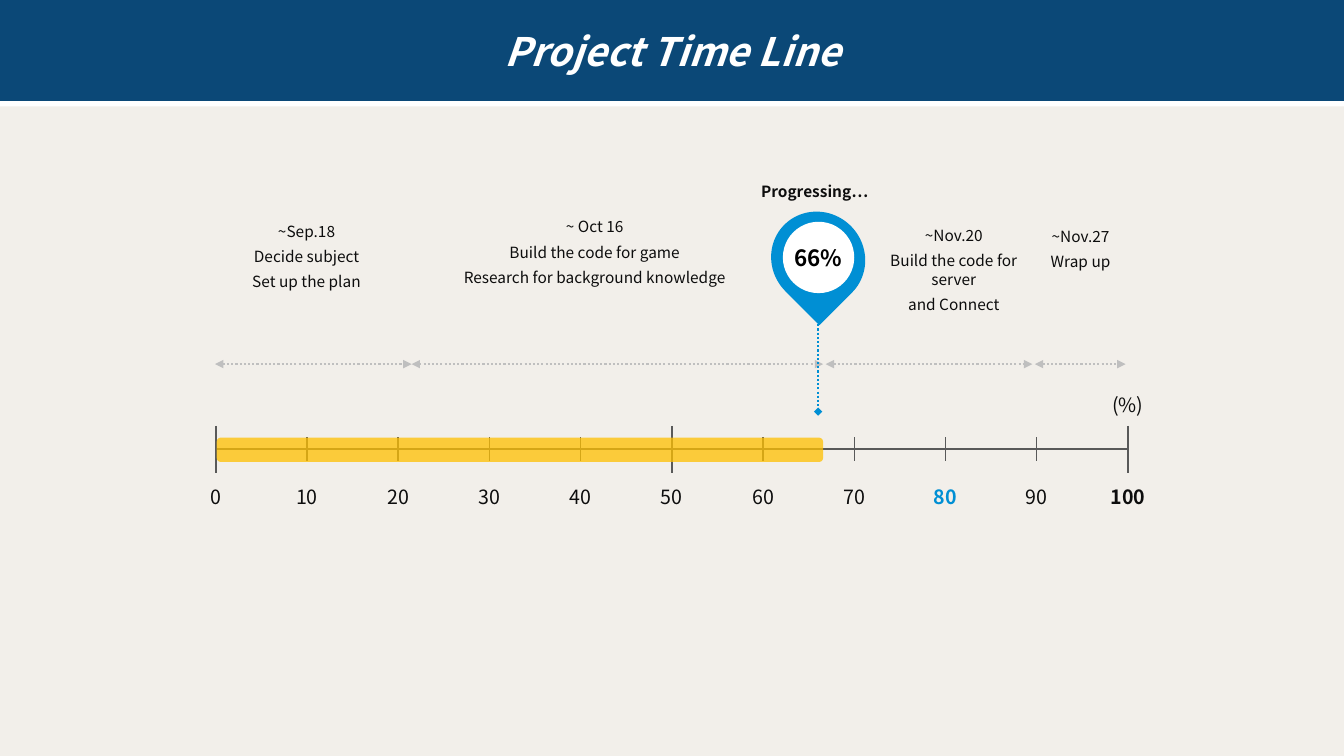
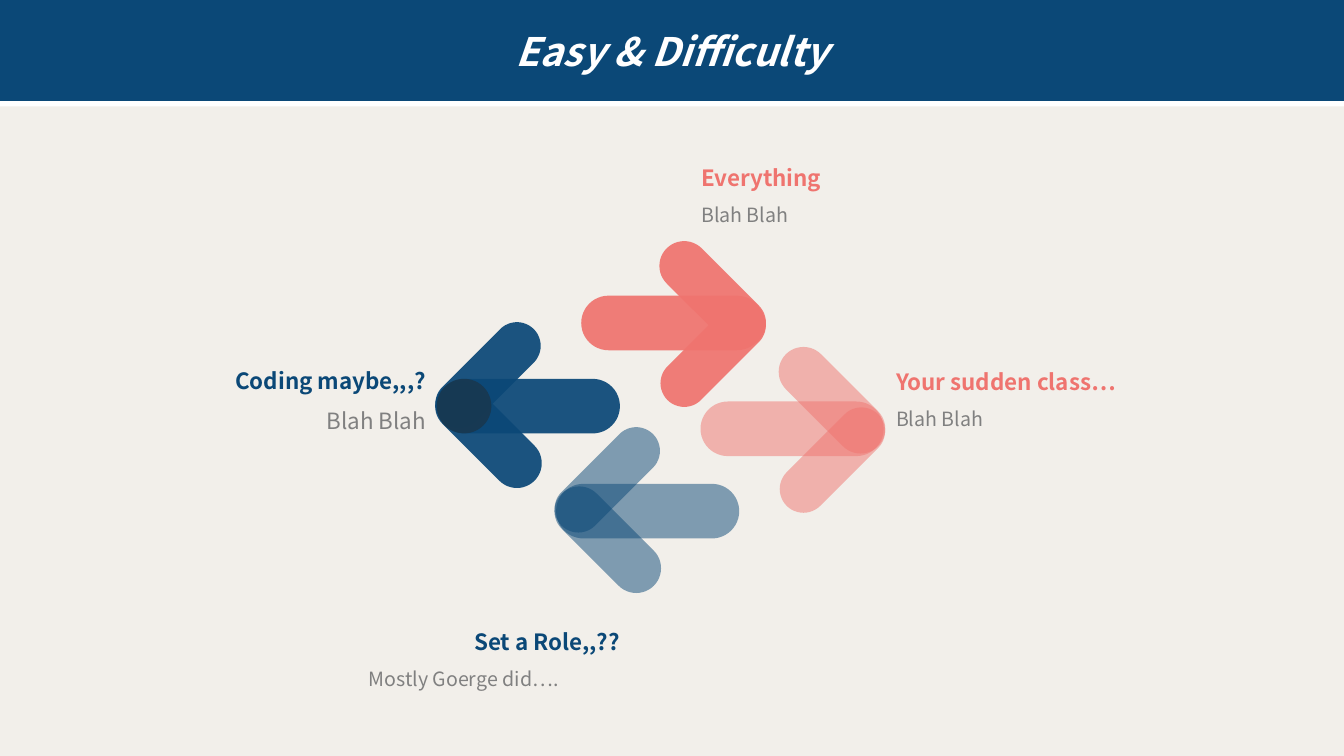
"""Build a project timeline slide and an easy-and-difficulty slide."""
from dataclasses import dataclass

from lxml import etree
from pptx import Presentation
from pptx.dml.color import RGBColor
from pptx.enum.dml import MSO_LINE
from pptx.enum.shapes import MSO_CONNECTOR, MSO_SHAPE
from pptx.enum.text import MSO_ANCHOR, MSO_AUTO_SIZE, PP_ALIGN
from pptx.oxml.ns import qn
from pptx.presentation import Presentation as Deck
from pptx.shapes.autoshape import Shape
from pptx.slide import Slide
from pptx.text.text import TextFrame, _Paragraph
from pptx.util import Emu, Inches, Pt

LEFT, CENTER, RIGHT = PP_ALIGN.LEFT, PP_ALIGN.CENTER, PP_ALIGN.RIGHT
MIDDLE = MSO_ANCHOR.MIDDLE
FIXED = MSO_AUTO_SIZE.NONE
STRAIGHT = MSO_CONNECTOR.STRAIGHT
DOTTED = MSO_LINE.ROUND_DOT
ROUNDED, OVAL, TEARDROP = MSO_SHAPE.ROUNDED_RECTANGLE, MSO_SHAPE.OVAL, MSO_SHAPE.TEAR
TITLE_ONLY = 5
COLUMNS, ROWS = 160, 90
CELL = Inches(7.5) / ROWS


@dataclass(frozen=True)
class Theme:
    """Colours, font and type sizes shared by the slides."""

    font: str = "Noto Sans CJK KR"
    paper: str = "F2EFEA"
    navy: str = "0B4877"
    white: str = "FFFFFF"
    black: str = "000000"
    ink: str = "0D0D0D"
    axis: str = "595959"
    span: str = "BFBFBF"
    blue: str = "008FD4"
    amber: str = "FFC000"
    coral: str = "EF746F"
    shade: str = "262626"
    note: str = "808080"
    title_size: int = 28
    heading_size: int = 16
    scale_size: int = 14
    note_size: int = 14
    label_size: int = 11


THEME = Theme()


@dataclass(frozen=True)
class Box:
    """A rectangle in grid columns and rows."""

    left: float
    top: float
    width: float
    height: float

    def emu(self) -> tuple[Emu, Emu, Emu, Emu]:
        """Return the rectangle in slide units."""
        return cells(self.left), cells(self.top), cells(self.width), cells(self.height)


@dataclass(frozen=True)
class Phase:
    """A stretch of the timeline with its description."""

    start: float
    end: float
    box: Box
    lines: tuple[str, ...]


@dataclass(frozen=True)
class Arrow:
    """An arrow made of a shaft and two arms."""

    left: float
    top: float
    color: str
    opacity: int
    reverse: bool = False


@dataclass(frozen=True)
class Caption:
    """A heading with a note below it."""

    box: Box
    heading: str
    note: str
    color: str
    align: PP_ALIGN = LEFT
    note_align: PP_ALIGN = LEFT
    note_size: int = THEME.note_size
    note_indent: float = 0


PHASES = (
    Phase(25.6, 49, Box(25.6, 25.8, 21.8, 10.1),
          ("~Sep.18", "Decide subject", "Set up the plan")),
    Phase(49, 98, Box(52, 25.3, 37.6, 10.1),
          ("~ Oct 16", "Build the code for game", "Research for background knowledge")),
    Phase(98.3, 122.9, Box(103.3, 26.3, 20.5, 12.4),
          ("~Nov.20", "Build the code for server", "and Connect")),
    Phase(123.2, 134, Box(122.9, 26.4, 11.5, 6.7), ("~Nov.27", "Wrap up")),
)
SCALE_LEFT, SCALE_WIDTH, SCALE_ROW = 25.68, 108.6, 53.5
SPAN_ROW = 43.35

ARROWS = (
    Arrow(69.2, 35.2, THEME.coral, 93),
    Arrow(52, 45.1, THEME.navy, 93, reverse=True),
    Arrow(83.4, 47.8, THEME.coral, 50),
    Arrow(66.2, 57.6, THEME.navy, 50, reverse=True),
)
SHAFT = Box(0, 0, 21.8, 6.5)
ARROW_PARTS = (
    (SHAFT, 0),
    (Box(7.9, -3.1, 15.5, 5.9), 45),
    (Box(8, 4.15, 15.4, 5.65), 135),
)
CAPTIONS = (
    Caption(Box(28.7, 72.6, 46.3, 9.7), "Set a Role,,??", "Mostly Goerge did….",
            THEME.navy, RIGHT, note_indent=14),
    Caption(Box(82.3, 17.4, 52.3, 9.7), "Everything", "Blah Blah", THEME.coral),
    Caption(Box(105.5, 41.6, 38, 9.7), "Your sudden class…", "Blah Blah", THEME.coral),
    Caption(Box(14.9, 41.5, 37, 9.7), "Coding maybe,,,?", "Blah Blah",
            THEME.navy, RIGHT, RIGHT, THEME.heading_size),
)


def cells(count: float) -> Emu:
    """Convert grid cells to slide units."""
    return Emu(round(count * CELL))


def rgb(color: str) -> RGBColor:
    """Convert a hex string to a colour."""
    return RGBColor.from_string(color)


def style(paragraph: _Paragraph, size: int, color: str, bold: bool = False,
          italic: bool = False, align: PP_ALIGN = CENTER) -> None:
    """Format a paragraph and its runs."""
    paragraph.alignment = align
    for run in paragraph.runs:
        font = run.font
        font.name, font.size = THEME.font, Pt(size)
        font.bold, font.italic = bold, italic
        font.color.rgb = rgb(color)


def paint(shape: Shape, color: str, opacity: int = 100) -> None:
    """Give a shape a flat fill without line or shadow."""
    shape.shadow.inherit = False
    shape.fill.solid()
    shape.fill.fore_color.rgb = rgb(color)
    shape.line.fill.background()
    if opacity < 100:
        tint = shape._element.spPr.find(qn("a:solidFill")).find(qn("a:srgbClr"))
        etree.SubElement(tint, qn("a:alpha"), val=str(opacity * 1000))


def add_block(slide: Slide, kind: MSO_SHAPE, box: Box, color: str,
              opacity: int = 100, turn: float = 0) -> Shape:
    """Draw a flat preset shape."""
    block = slide.shapes.add_shape(kind, *box.emu())
    paint(block, color, opacity)
    block.rotation = turn
    return block


def add_text(slide: Slide, box: Box, lines: tuple[str, ...], size: int,
             color: str = THEME.ink, bold: bool = False) -> TextFrame:
    """Write centred lines in a wrapping text box."""
    frame = slide.shapes.add_textbox(*box.emu()).text_frame
    frame.word_wrap = True
    frame.text = "\n".join(lines)
    for index, paragraph in enumerate(frame.paragraphs):
        style(paragraph, size, color, bold)
        paragraph.space_before = Pt(5 if index else 0)
    return frame


def add_line(slide: Slide, start: tuple[float, float], end: tuple[float, float],
             color: str, weight: float = 1.5, dotted: bool = False,
             head: str = "none", tail: str = "none") -> None:
    """Draw a straight line with optional dots and ends."""
    line = slide.shapes.add_connector(STRAIGHT, *map(cells, start + end))
    line.line.color.rgb = rgb(color)
    line.line.width = Pt(weight)
    if dotted:
        line.line.dash_style = DOTTED
    properties = line._element.spPr
    outline = properties.find(qn("a:ln"))
    etree.SubElement(outline, qn("a:headEnd"), type=head)
    etree.SubElement(outline, qn("a:tailEnd"), type=tail)
    etree.SubElement(properties, qn("a:effectLst"))


def add_titled_slide(deck: Deck, title: str) -> Slide:
    """Add a slide whose title fills the top band."""
    slide = deck.slides.add_slide(deck.slide_layouts[TITLE_ONLY])
    band = slide.shapes.title
    band.left, band.top, band.width, band.height = Box(0, 0, COLUMNS, 12).emu()
    paint(band, THEME.navy)
    effects = band._element.spPr.find(qn("a:effectLst"))
    shadow = etree.SubElement(effects, qn("a:outerShdw"), dist=str(int(Pt(4))),
                              dir="5400000", algn="t", rotWithShape="0")
    etree.SubElement(shadow, qn("a:srgbClr"), val=THEME.white)
    frame = band.text_frame
    frame.text = title
    frame.auto_size = FIXED
    frame.vertical_anchor = MIDDLE
    style(frame.paragraphs[0], THEME.title_size, THEME.white, bold=True, italic=True)
    return slide


def add_scale(slide: Slide) -> None:
    """Draw the percentage scale with its progress bar."""
    right = SCALE_LEFT + SCALE_WIDTH
    add_line(slide, (SCALE_LEFT, SCALE_ROW), (right, SCALE_ROW), THEME.axis)
    for percent in range(0, 101, 10):
        x = SCALE_LEFT + SCALE_WIDTH * percent / 100
        reach = 1.44 if percent % 50 else 2.8
        add_line(slide, (x, SCALE_ROW - reach), (x, SCALE_ROW + reach), THEME.axis,
                 1.5 if percent in (0, 100) else 1)
        add_text(slide, Box(x - 3.55, 57.1, 7.1, 4.1), (str(percent),), THEME.scale_size,
                 THEME.blue if percent == 80 else THEME.ink, percent in (80, 100))
    add_text(slide, Box(right - 3.55, 46.2, 7.1, 4.1), ("(%)",), THEME.scale_size)
    add_block(slide, ROUNDED, Box(25.8, 52.1, 72.2, 2.9), THEME.amber, 75)


def add_progress_pin(slide: Slide) -> None:
    """Draw the pin that marks the current progress."""
    add_block(slide, TEARDROP, Box(91.9, 25.1, 11, 11.4), THEME.blue, turn=135)
    dial = add_block(slide, OVAL, Box(93.2, 26.4, 8.5, 8.5), THEME.white).text_frame
    dial.margin_left = dial.margin_right = dial.margin_top = dial.margin_bottom = 0
    dial.vertical_anchor = MIDDLE
    dial.word_wrap = False
    dial.text = "66%"
    style(dial.paragraphs[0], THEME.heading_size, THEME.black, bold=True)
    add_text(slide, Box(89.2, 21.1, 15.6, 3.5), ("Progressing…",), THEME.label_size, bold=True)
    add_line(slide, (97.4, 38.6), (97.4, 49), THEME.blue, dotted=True, tail="diamond")


def add_arrow(slide: Slide, arrow: Arrow) -> None:
    """Draw an arrow, turned by half a circle when reversed."""
    for part, turn in ARROW_PARTS:
        x, y = part.left, part.top
        if arrow.reverse:
            x, y = SHAFT.width - x - part.width, SHAFT.height - y - part.height
            turn += 180
        box = Box(arrow.left + x, arrow.top + y, part.width, part.height)
        bar = add_block(slide, ROUNDED, box, arrow.color, arrow.opacity, turn)
        bar.adjustments[0] = 0.5


def add_caption(slide: Slide, caption: Caption) -> None:
    """Write a heading and its note."""
    frame = add_text(slide, caption.box, (caption.heading, caption.note), THEME.heading_size)
    heading, note = frame.paragraphs
    style(heading, THEME.heading_size, caption.color, bold=True, align=caption.align)
    style(note, caption.note_size, THEME.note, align=caption.note_align)
    note._p.get_or_add_pPr().set("marL", str(int(cells(caption.note_indent))))
    for paragraph in (heading, note):
        paragraph.space_before = Pt(0)
        paragraph.line_spacing = 1.5


def main() -> None:
    """Build and save the deck."""
    deck = Presentation()
    deck.slide_width, deck.slide_height = cells(COLUMNS), cells(ROWS)
    paper = deck.slide_master.background.fill
    paper.solid()
    paper.fore_color.rgb = rgb(THEME.paper)

    timeline = add_titled_slide(deck, "Project Time Line")
    add_scale(timeline)
    for phase in PHASES:
        add_line(timeline, (phase.start, SPAN_ROW), (phase.end, SPAN_ROW), THEME.span,
                 dotted=True, head="triangle", tail="triangle")
        add_text(timeline, phase.box, phase.lines, THEME.label_size)
    add_progress_pin(timeline)

    review = add_titled_slide(deck, "Easy & Difficulty")
    for arrow in ARROWS:
        add_arrow(review, arrow)
    add_block(review, OVAL, Box(52, 45.1, 6.5, 6.5), THEME.shade, 44)
    for caption in CAPTIONS:
        add_caption(review, caption)
    deck.save("out.pptx")


if __name__ == "__main__":
    main()
